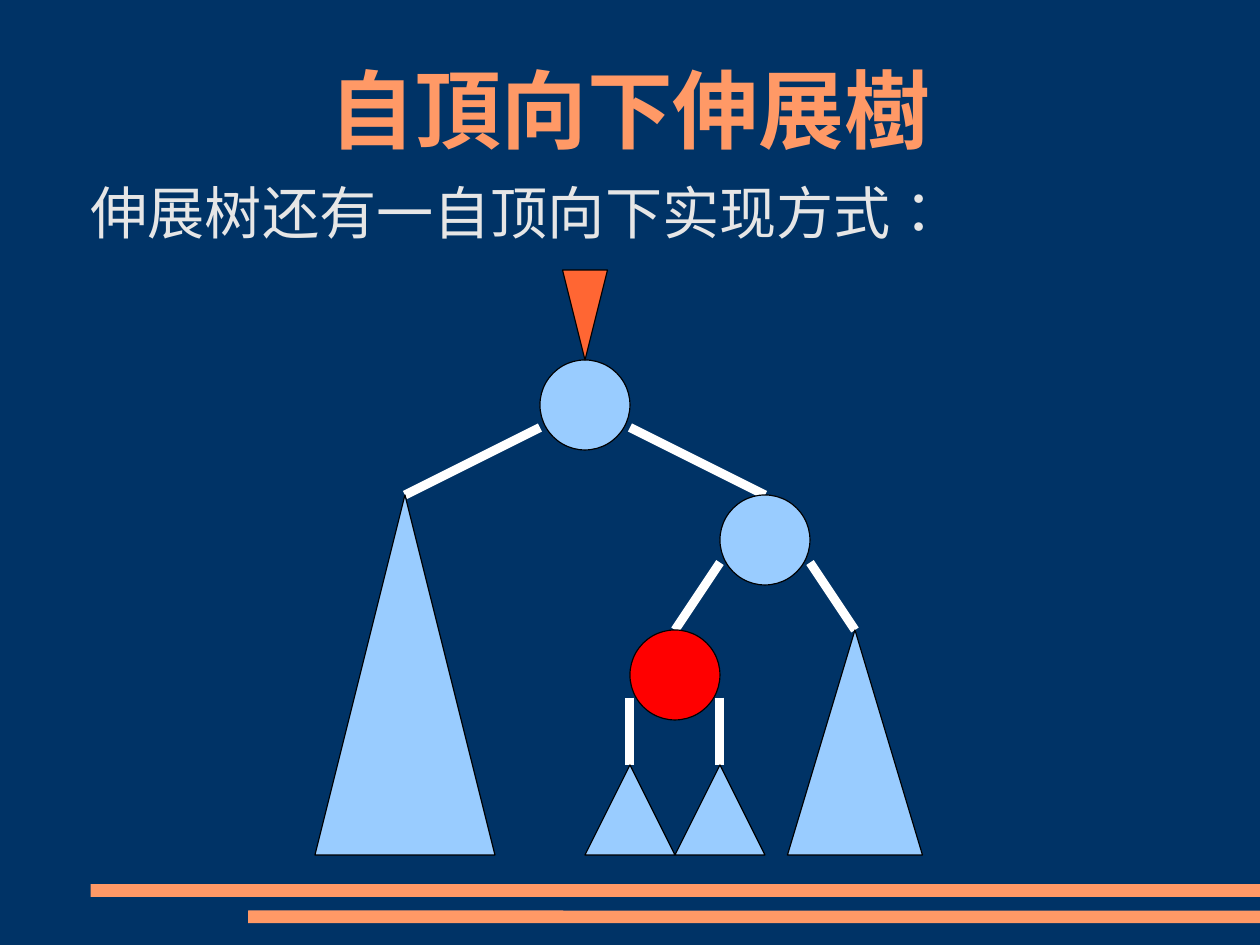
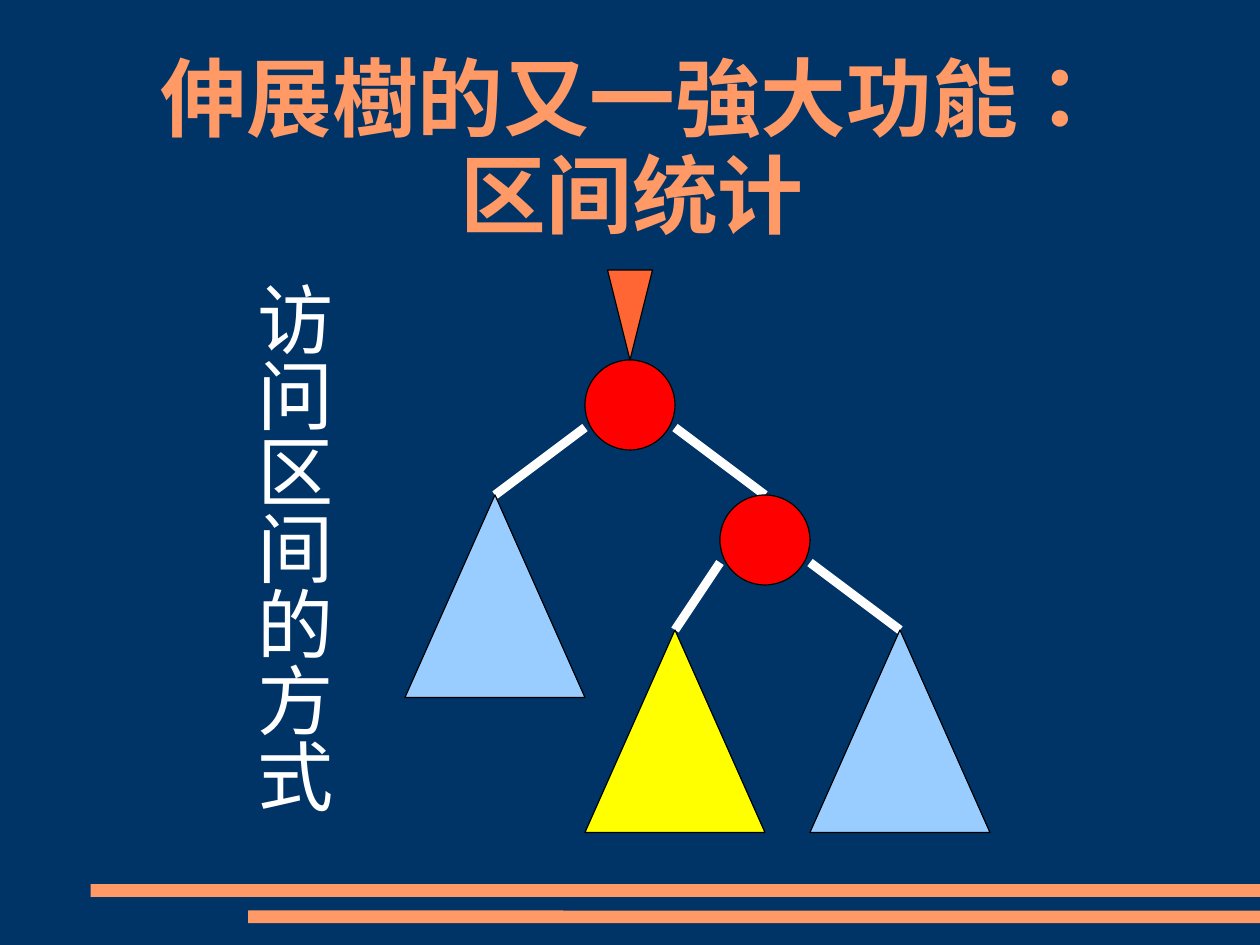
from lxml import etree
from pptx import Presentation
from pptx.dml.color import RGBColor
from pptx.enum.shapes import MSO_CONNECTOR, MSO_SHAPE
from pptx.enum.text import MSO_ANCHOR, MSO_AUTO_SIZE, PP_ALIGN
from pptx.oxml.ns import qn
from pptx.util import Cm, Inches, Pt

CIRCLE, TRIANGLE, BAR = MSO_SHAPE.OVAL, MSO_SHAPE.ISOSCELES_TRIANGLE, MSO_SHAPE.ROUNDED_RECTANGLE
STRAIGHT = MSO_CONNECTOR.STRAIGHT
CENTER, LEFT = PP_ALIGN.CENTER, PP_ALIGN.LEFT
TOP, MIDDLE = MSO_ANCHOR.TOP, MSO_ANCHOR.MIDDLE
NO_FIT = MSO_AUTO_SIZE.NONE

NAVY = RGBColor(0x00, 0x33, 0x66)
PEACH = RGBColor(0xFF, 0x99, 0x66)
ORANGE = RGBColor(0xFF, 0x66, 0x33)
SKY = RGBColor(0x99, 0xCC, 0xFF)
RED = RGBColor(0xFF, 0x00, 0x00)
YELLOW = RGBColor(0xFF, 0xFF, 0x00)
WHITE = RGBColor(0xFF, 0xFF, 0xFF)
PALE = RGBColor(0xE6, 0xE6, 0xE6)
BLACK = RGBColor(0x00, 0x00, 0x00)
FONT = "Noto Sans CJK SC"

prs = Presentation()
prs.slide_width, prs.slide_height = Cm(28), Cm(21)
CELL = prs.slide_width / 56
LEFT_SIDE, RIGHT_SIDE = 0, 1


def add_shape(s, kind, color, box, outlined=True):
    sp = s.shapes.add_shape(kind, *[round(v * CELL) for v in box])
    sp.shadow.inherit = False
    sp.fill.solid()
    sp.fill.fore_color.rgb = color
    if outlined:
        sp.line.color.rgb = BLACK
        sp.line.width = Pt(0.75)
    else:
        sp.line.fill.background()
    return sp


def set_text(sp, text, box, size, color, bold=False, align=LEFT, anchor=TOP, insets=(0, 0)):
    sp.left, sp.top, sp.width, sp.height = [round(v * CELL) for v in box]
    tf = sp.text_frame
    tf.auto_size, tf.word_wrap, tf.vertical_anchor = NO_FIT, True, anchor
    tf.margin_left = tf.margin_right = Inches(insets[0])
    tf.margin_top, tf.margin_bottom = Inches(insets[1]), Inches(insets[1])
    p = tf.paragraphs[0]
    p.text = text
    p.alignment, p.line_spacing, p.space_before = align, 0.95, Pt(0)
    for r in p.runs:
        r.font.name, r.font.size, r.font.bold = FONT, Pt(size), bold
        r.font.color.rgb = color
        rPr = r.font._element
        rPr.set("lang", "zh-TW")
        rPr.find(qn("a:latin")).addnext(etree.Element(qn("a:ea"), typeface=FONT))
    return p


master = prs.slide_master
master.background.fill.solid()
master.background.fill.fore_color.rgb = NAVY

SLIDES = [
    {
        "layout": 1,
        "title": "自頂向下伸展樹",
        "title_box": (4.1, 1.55, 47.8, 7),
        "pointer": (25, 12, 2, 4),
        "nodes": {
            "root": (CIRCLE, SKY, (24, 16, 4, 4)),
            "left": (TRIANGLE, SKY, (14, 22, 8, 16)),
            "right": (CIRCLE, SKY, (32, 22, 4, 4)),
            "outer": (TRIANGLE, SKY, (35, 28, 6, 10)),
            "target": (CIRCLE, RED, (28, 28, 4, 4)),
            "target left": (TRIANGLE, SKY, (26, 34, 4, 4)),
            "target right": (TRIANGLE, SKY, (30, 34, 4, 4)),
        },
        "edges": [
            ("root", LEFT_SIDE, "left"),
            ("root", RIGHT_SIDE, "right"),
            ("right", LEFT_SIDE, "target"),
            ("right", RIGHT_SIDE, "outer"),
            ("target", LEFT_SIDE, "target left"),
            ("target", RIGHT_SIDE, "target right"),
        ],
    },
    {
        "layout": 5,
        "title": "伸展樹的又一強大功能：\v区间统计",
        "title_box": (4.2, 2.3, 47.8, 8.7),
        "pointer": (27, 12, 2, 4),
        "nodes": {
            "start": (CIRCLE, RED, (26, 16, 4, 4)),
            "before": (TRIANGLE, SKY, (18, 22, 8, 9)),
            "end": (CIRCLE, RED, (32, 22, 4, 4)),
            "interval": (TRIANGLE, YELLOW, (26, 28, 8, 9)),
            "after": (TRIANGLE, SKY, (36, 28, 8, 9)),
        },
        "edges": [
            ("start", LEFT_SIDE, "before"),
            ("start", RIGHT_SIDE, "end"),
            ("end", LEFT_SIDE, "interval"),
            ("end", RIGHT_SIDE, "after"),
        ],
    },
]

for tree in SLIDES:
    s = prs.slides.add_slide(prs.slide_layouts[tree["layout"]])
    set_text(s.shapes.title, tree["title"], tree["title_box"], 54, PEACH, True, CENTER, MIDDLE)
    nodes = {name: add_shape(s, *node) for name, node in tree["nodes"].items()}
    for parent, side, child in tree["edges"]:
        start, end = nodes[parent], nodes[child]
        x = start.left + side * start.width
        y = start.top + round(start.height * 0.75)
        edge = s.shapes.add_connector(STRAIGHT, x, y, end.left, end.top)
        edge.end_connect(end, 0)
        edge.line.color.rgb = WHITE
        edge.line.width = Pt(5.67)
        etree.SubElement(edge._element.spPr, qn("a:effectLst"))
        end._element.addprevious(edge._element)
    add_shape(s, TRIANGLE, ORANGE, tree["pointer"]).rotation = 180

first, second = prs.slides

for box in [(4.03, 39.3, 51.97, 0.56), (11.03, 40.47, 44.97, 0.56)]:
    band = add_shape(first, BAR, PEACH, box, outlined=False)
    band.adjustments[0] = 0.017
    master.shapes._spTree.append(band._element)

p = set_text(first.placeholders[1], "伸展树还有一自顶向下实现方式：", (4.03, 8, 48.7, 4.1), 36, PALE, insets=(0, 0.02))
pPr = p._p.get_or_add_pPr()
pPr.set("marL", str(Inches(0.37)))
pPr.set("indent", str(-Inches(0.37)))
etree.SubElement(pPr, qn("a:buNone"))

sp = second.shapes.add_textbox(0, 0, 0, 0)
set_text(sp, "访问区间的方式", (10.13, 12, 4.88, 26), 48, WHITE, insets=(0.05, 0.1))
sp.text_frame._txBody.bodyPr.set("vert", "eaVert")

prs.save("out.pptx")
